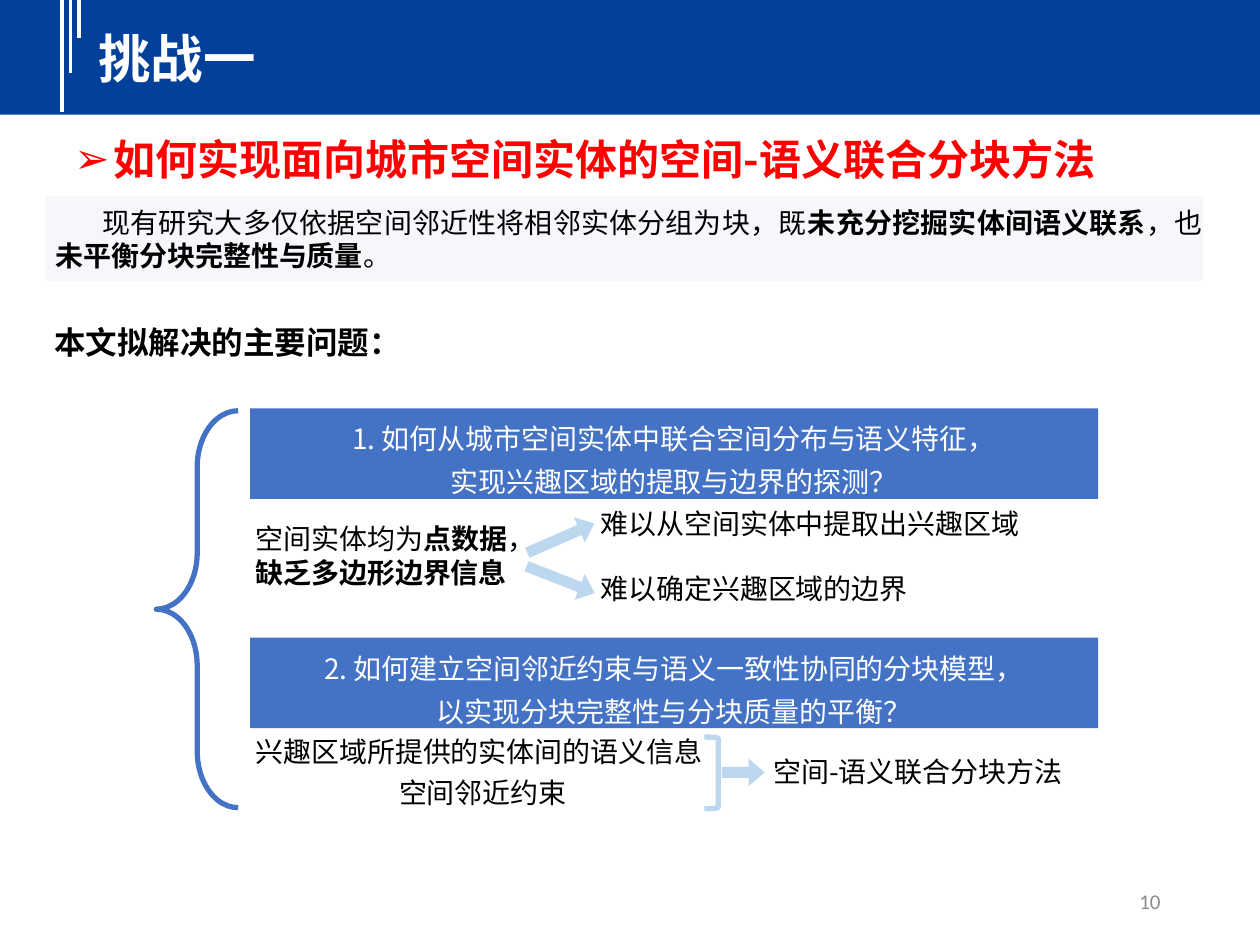
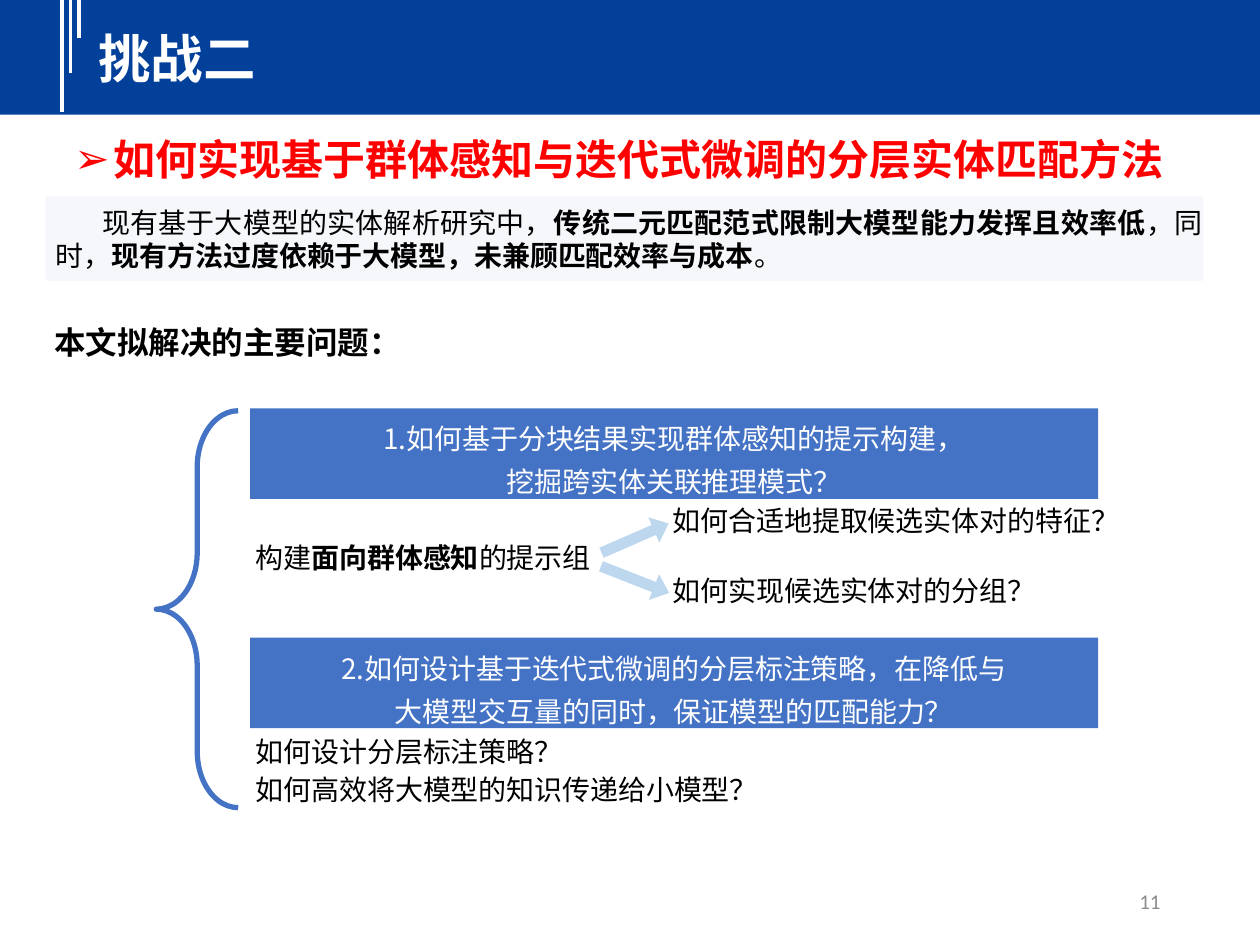
from dataclasses import dataclass

from lxml import etree
from pptx import Presentation
from pptx.dml.color import RGBColor
from pptx.enum.shapes import MSO_CONNECTOR, MSO_SHAPE
from pptx.enum.text import MSO_ANCHOR, MSO_AUTO_SIZE, PP_ALIGN
from pptx.oxml.ns import qn
from pptx.util import Pt

LEFT, CENTER, RIGHT, JUSTIFY = PP_ALIGN.LEFT, PP_ALIGN.CENTER, PP_ALIGN.RIGHT, PP_ALIGN.JUSTIFY
TOP, MIDDLE = MSO_ANCHOR.TOP, MSO_ANCHOR.MIDDLE
RECT, ROUND = MSO_SHAPE.RECTANGLE, MSO_SHAPE.ROUNDED_RECTANGLE
BRACE, BRACKET = MSO_SHAPE.LEFT_BRACE, MSO_SHAPE.RIGHT_BRACKET
ARROW = MSO_SHAPE.DOWN_ARROW
STRAIGHT = MSO_CONNECTOR.STRAIGHT
FIT_NONE = MSO_AUTO_SIZE.NONE


@dataclass(frozen=True)
class Theme:
    font: str = "Noto Sans CJK SC"
    digit: str = "Calibri"
    navy: str = "02409A"
    blue: str = "4472C4"
    pale: str = "BDD7EE"
    red: str = "FF0000"
    gray: str = "8C8C8C"
    white: str = "FFFFFF"
    black: str = "000000"
    title: int = 30
    head: int = 24
    lead: int = 18
    text: int = 16
    small: int = 12


THEME = Theme()
LABEL_X = 139
LABEL_H = 26.6


def rgb(code):
    return RGBColor.from_string(code)


def place(shape, x, y, w, h):
    shape.left, shape.top, shape.width, shape.height = Pt(x), Pt(y), Pt(w), Pt(h)


def indent(par, first, margin=0, bullet=None):
    props = par._p.get_or_add_pPr()
    props.set("marL", str(Pt(margin)))
    props.set("indent", str(Pt(first)))
    if bullet:
        etree.SubElement(props, qn("a:buChar")).set("char", bullet)


def style(par, size, color, bold=False, face=THEME.font):
    font = par.font
    font.size, font.name, font.bold = Pt(size), face, bold
    font.color.rgb = rgb(color)
    east = etree.SubElement(par._p.pPr.find(qn("a:defRPr")), qn("a:ea"))
    east.set("typeface", face)


def add_runs(par, text):
    """Parts between asterisks are bold."""
    for i, part in enumerate(text.split("*")):
        if part:
            run = par.add_run()
            run.text = part
            if i % 2:
                run.font.bold = True


def write(shape, text, size=THEME.text, color=THEME.black, align=LEFT,
          anchor=TOP, bold=False, face=THEME.font, pitch=None):
    frame = shape.text_frame
    frame.word_wrap = True
    frame.auto_size = FIT_NONE
    frame.vertical_anchor = anchor
    for i, line in enumerate(text.split("\n")):
        par = frame.add_paragraph() if i else frame.paragraphs[0]
        add_runs(par, line)
        par.alignment = align
        if pitch:
            par.line_spacing = Pt(pitch)
        style(par, size, color, bold, face)
    return frame


def add_text(slide, text, x, y, w, h=LABEL_H, **look):
    box = slide.shapes.add_textbox(Pt(x), Pt(y), Pt(w), Pt(h))
    write(box, text, **look)


def add_form(slide, kind, x, y, w, h, fill=None, line=None, adjust=()):
    form = slide.shapes.add_shape(kind, Pt(x), Pt(y), Pt(w), Pt(h))
    form.shadow.inherit = False
    if fill:
        form.fill.solid()
        form.fill.fore_color.rgb = rgb(fill)
    else:
        form.fill.background()
    if line:
        form.line.color.rgb = rgb(line)
        form.line.width = Pt(3)
    else:
        form.line.fill.background()
    for i, value in enumerate(adjust):
        form.adjustments[i] = value
    return form


def add_bar(slide, x, end):
    bar = slide.shapes.add_connector(STRAIGHT, Pt(x), 0, Pt(x), Pt(end))
    bar.line.color.rgb = rgb(THEME.white)
    bar.line.width = Pt(2.25)
    etree.SubElement(bar.element.spPr, qn("a:effectLst"))


def add_header(slide, text):
    add_form(slide, RECT, 0, 0, 720, 65.5, THEME.navy)
    for i, end in enumerate((64, 41.8, 21.6)):
        add_bar(slide, 35.3 + 5 * i, end)
    title = slide.shapes.title
    title.element.getparent().append(title.element)  # in front of the band
    place(title, 49, 11.5, 656.6, 43.2)
    write(title, text, THEME.title, THEME.white, anchor=MIDDLE, bold=True)


def add_topic(slide, text):
    body = slide.placeholders[1]
    place(body, 35.3, 72.7, 652.3, 33.1)
    par = body.text_frame.paragraphs[0]
    indent(par, -22.5, 22.5, "➢")
    par.space_before = Pt(0)
    write(body, text, THEME.head, THEME.red, bold=True)


def add_summary(slide, text):
    panel = add_form(slide, ROUND, 25.9, 112.3, 661.7, 48.2, THEME.blue, adjust=[0.02])
    color = panel.element.spPr.find(qn("a:solidFill"))[0]
    etree.SubElement(color, qn("a:alpha")).set("val", "5000")
    frame = panel.text_frame
    frame.margin_left = Pt(5.8)
    frame.margin_top = frame.margin_right = frame.margin_bottom = 0
    indent(frame.paragraphs[0], 26.4)
    write(panel, text, align=JUSTIFY, anchor=MIDDLE)


def add_banner(slide, text, y):
    banner = add_form(slide, RECT, 143, y, 484.6, 51.8, THEME.blue)
    frame = write(banner, text, color=THEME.white, align=CENTER, anchor=MIDDLE, pitch=24.6)
    frame.margin_top, frame.margin_bottom = Pt(2), 0


def add_arrow(slide, x, y, length, turn):
    arrow = add_form(slide, ARROW, x, y, 15.8, length, THEME.pale, adjust=[0.396, 0.587])
    arrow.rotation = turn


def add_fork(slide, x):
    """Two arrows that part from one point, up and down."""
    for y, turn in ((286.6, 246.4), (310.3, 291.4)):
        add_arrow(slide, x, y, 41.8, turn)


def add_page(deck, number, title, topic, summary, banners):
    slide = deck.slides.add_slide(deck.slide_layouts[1])
    add_header(slide, title)
    add_topic(slide, topic)
    add_summary(slide, summary)
    add_text(slide, "本文拟解决的主要问题：", 19.4, 178.6, 221, 33.1,
             size=THEME.lead, align=CENTER, anchor=MIDDLE, bold=True)
    add_form(slide, BRACE, 89.3, 234.7, 46.8, 226.8, line=THEME.blue, adjust=[0.687, 0.5])
    for text, y in zip(banners, (233.3, 364.3)):
        add_banner(slide, text, y)
    add_text(slide, number, 508.3, 500.4, 162, 28.8, size=THEME.small,
             color=THEME.gray, align=RIGHT, anchor=MIDDLE, face=THEME.digit)
    return slide


def add_blocking(deck):
    slide = add_page(
        deck, "10", "挑战一", "如何实现面向城市空间实体的空间-语义联合分块方法",
        "现有研究大多仅依据空间邻近性将相邻实体分组为块，既*未充分挖掘实体间语义联系*，也*未平衡分块完整性与质量*。",
        ("1. 如何从城市空间实体中联合空间分布与语义特征，\n实现兴趣区域的提取与边界的探测？",
         "2. 如何建立空间邻近约束与语义一致性协同的分块模型，\n以实现分块完整性与分块质量的平衡？"))
    add_text(slide, "空间实体均为*点数据*，*缺乏多边形边界信息*", LABEL_X, 294.5, 181.4, 46)
    add_fork(slide, 312.5)
    add_text(slide, "难以从空间实体中提取出兴趣区域", 336.2, 285.8, 257.8)
    add_text(slide, "难以确定兴趣区域的边界", 336.2, 323.3, 190.8)
    add_text(slide, "兴趣区域所提供的实体间的语义信息", LABEL_X, 416.2, 282.2)
    add_text(slide, "空间邻近约束", 221, 439.9, 115.2)
    add_form(slide, BRACKET, 402.5, 421.2, 7.9, 41, line=THEME.pale)
    add_arrow(slide, 416.9, 429.1, 24.5, 270)
    add_text(slide, "空间-语义联合分块方法", 434.9, 427.7, 183.6)


def add_matching(deck):
    slide = add_page(
        deck, "11", "挑战二", "如何实现基于群体感知与迭代式微调的分层实体匹配方法",
        "现有基于大模型的实体解析研究中，*传统二元匹配范式限制大模型能力发挥且效率低*，同时，*现有方法过度依赖于大模型，未兼顾匹配效率与成本*。",
        ("1.如何基于分块结果实现群体感知的提示构建，\n挖掘跨实体关联推理模式？",
         "2.如何设计基于迭代式微调的分层标注策略，在降低与\n大模型交互量的同时，保证模型的匹配能力？"))
    add_text(slide, "构建*面向群体感知*的提示组", LABEL_X, 305.3, 287.3)
    add_fork(slide, 355)
    add_text(slide, "如何合适地提取候选实体对的特征？", 377.3, 284.4, 265)
    add_text(slide, "如何实现候选实体对的分组？", 377.3, 324, 224.6)
    add_text(slide, "如何设计分层标注策略？", LABEL_X, 416.2, 300)
    add_text(slide, "如何高效将大模型的知识传递给小模型？", LABEL_X, 437.8, 301)


def main():
    deck = Presentation()
    deck.slide_width, deck.slide_height = Pt(720), Pt(540)
    add_blocking(deck)
    add_matching(deck)
    deck.save("out.pptx")


if __name__ == "__main__":
    main()
